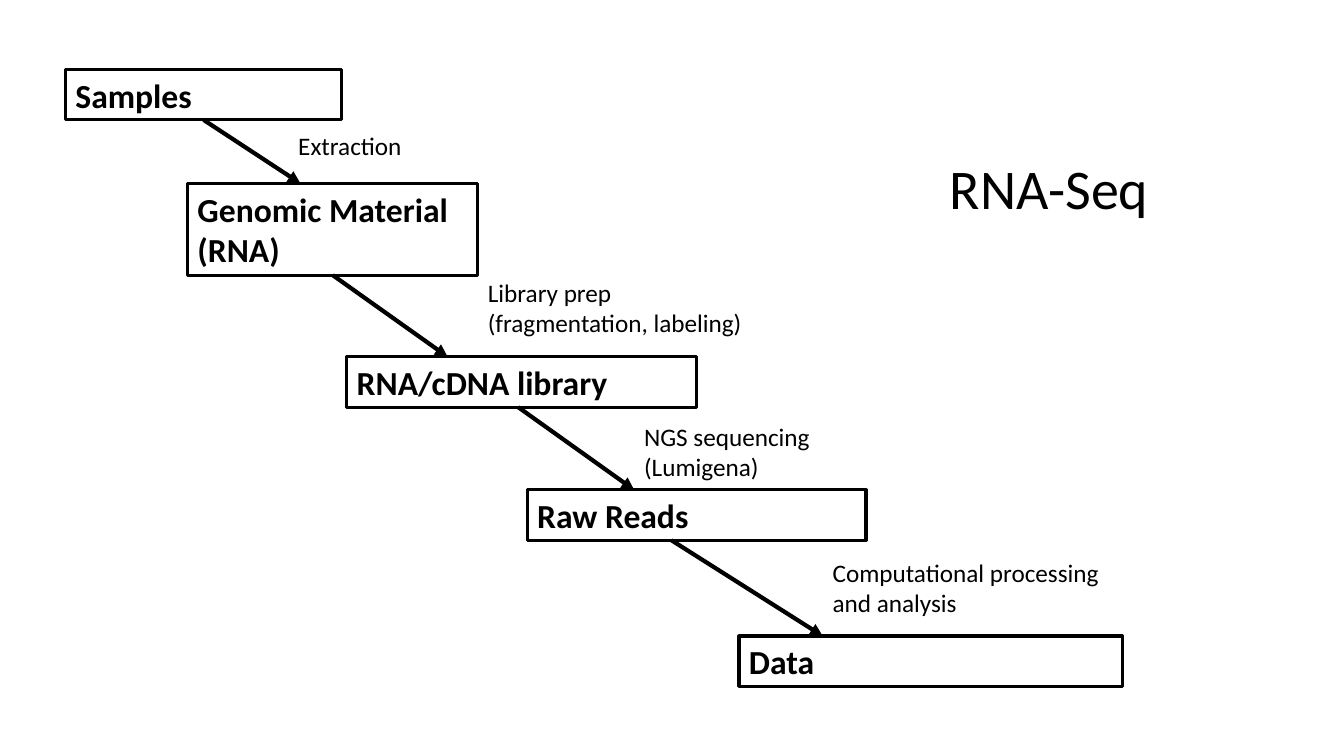
"""Build a slide showing the RNA-Seq workflow as a descending staircase."""
from dataclasses import dataclass
from itertools import pairwise

import pptx
import pptx.dml.color
import pptx.enum.shapes
import pptx.enum.text
import pptx.oxml
import pptx.oxml.ns
import pptx.util
from pptx.util import Inches

FONT = "Calibri"
BLACK = "000000"
WHITE = "FFFFFF"


@dataclass(frozen=True)
class Stage:
    """A boxed result of the workflow."""
    text: str
    left: float
    top: float
    width: float
    height: float = 0.5


@dataclass(frozen=True)
class Step:
    """A labelled arrow leading from one stage to the next."""
    text: str
    left: float
    top: float
    width: float
    height: float
    start_x: float
    end_x: float


STAGES = [
    Stage("Samples", 0.65, 0.69, 2.74),
    Stage("Genomic Material (RNA)", 1.86, 1.82, 2.88, 0.91),
    Stage("RNA/cDNA library", 3.44, 3.54, 3.47),
    Stage("Raw Reads", 5.23, 4.86, 3.36),
    Stage("Data", 7.33, 6.31, 3.8),
]
STEPS = [
    Step("Extraction", 2.86, 1.24, 2.76, 0.4, 2.02, 2.98),
    Step("Library prep\n(fragmentation, labeling)", 4.74, 2.7, 6.08, 0.71, 3.3, 4.44),
    Step("NGS sequencing (Lumigena)", 6.29, 4.13, 2.57, 0.71, 5.14, 6.29),
    Step("Computational processing and analysis", 8.16, 5.48, 3.26, 0.71, 6.66, 8.16),
]


def color(value: str) -> pptx.dml.color.RGBColor:
    """Turn a hex string into a colour."""
    return pptx.dml.color.RGBColor.from_string(value)


def write(box, text: str, size: float, bold: bool = False) -> None:
    """Put left-aligned black text into a box."""
    frame = box.text_frame
    frame.text = text
    frame.word_wrap = True
    frame.auto_size = pptx.enum.text.MSO_AUTO_SIZE.SHAPE_TO_FIT_TEXT
    frame.vertical_anchor = pptx.enum.text.MSO_ANCHOR.TOP
    for para in frame.paragraphs:
        para.alignment = pptx.enum.text.PP_ALIGN.LEFT
        para.font.name = FONT
        para.font.size = pptx.util.Pt(size)
        para.font.bold = bold
        para.font.color.rgb = color(BLACK)


def bounds(item: Stage | Step) -> list[pptx.util.Length]:
    """Return left, top, width and height as lengths."""
    return [Inches(value) for value in (item.left, item.top, item.width, item.height)]


def draw_stage(page, stage: Stage) -> None:
    """Draw a stage as an outlined box with bold text."""
    box = page.shapes.add_shape(pptx.enum.shapes.MSO_SHAPE.RECTANGLE, *bounds(stage))
    box.shadow.inherit = False
    box.fill.solid()
    box.fill.fore_color.rgb = color(WHITE)
    box.line.color.rgb = color(BLACK)
    box.line.width = pptx.util.Pt(2.25)
    write(box, stage.text, 24, bold=True)


def draw_step(page, step: Step, source: Stage, target: Stage) -> None:
    """Draw a step's label and its arrow between two stages."""
    write(page.shapes.add_textbox(*bounds(step)), step.text, 18)
    arrow = page.shapes.add_connector(
        pptx.enum.shapes.MSO_CONNECTOR.STRAIGHT,
        Inches(step.start_x), Inches(source.top + source.height),
        Inches(step.end_x), Inches(target.top),
    )
    arrow.line.color.rgb = color(BLACK)
    arrow.line.width = pptx.util.Pt(3)
    head = pptx.oxml.parse_xml(f'<a:tailEnd {pptx.oxml.ns.nsdecls("a")} type="triangle"/>')
    arrow.line._get_or_add_ln().append(head)
    effects = pptx.oxml.parse_xml(f'<a:effectLst {pptx.oxml.ns.nsdecls("a")}/>')
    arrow._element.spPr.append(effects)


def main() -> None:
    """Build and save the deck."""
    deck = pptx.Presentation()
    deck.slide_width, deck.slide_height = Inches(13.33), Inches(7.5)
    page = deck.slides.add_slide(deck.slide_layouts.get_by_name("Title Only"))

    title = page.shapes.title
    title.left, title.top = Inches(9.32), Inches(1.47)
    title.width, title.height = Inches(2.7), Inches(0.77)
    write(title, "RNA-Seq", 40)

    for stage in STAGES:
        draw_stage(page, stage)
    for step, (source, target) in zip(STEPS, pairwise(STAGES)):
        draw_step(page, step, source, target)
    deck.save("out.pptx")


if __name__ == "__main__":
    main()
